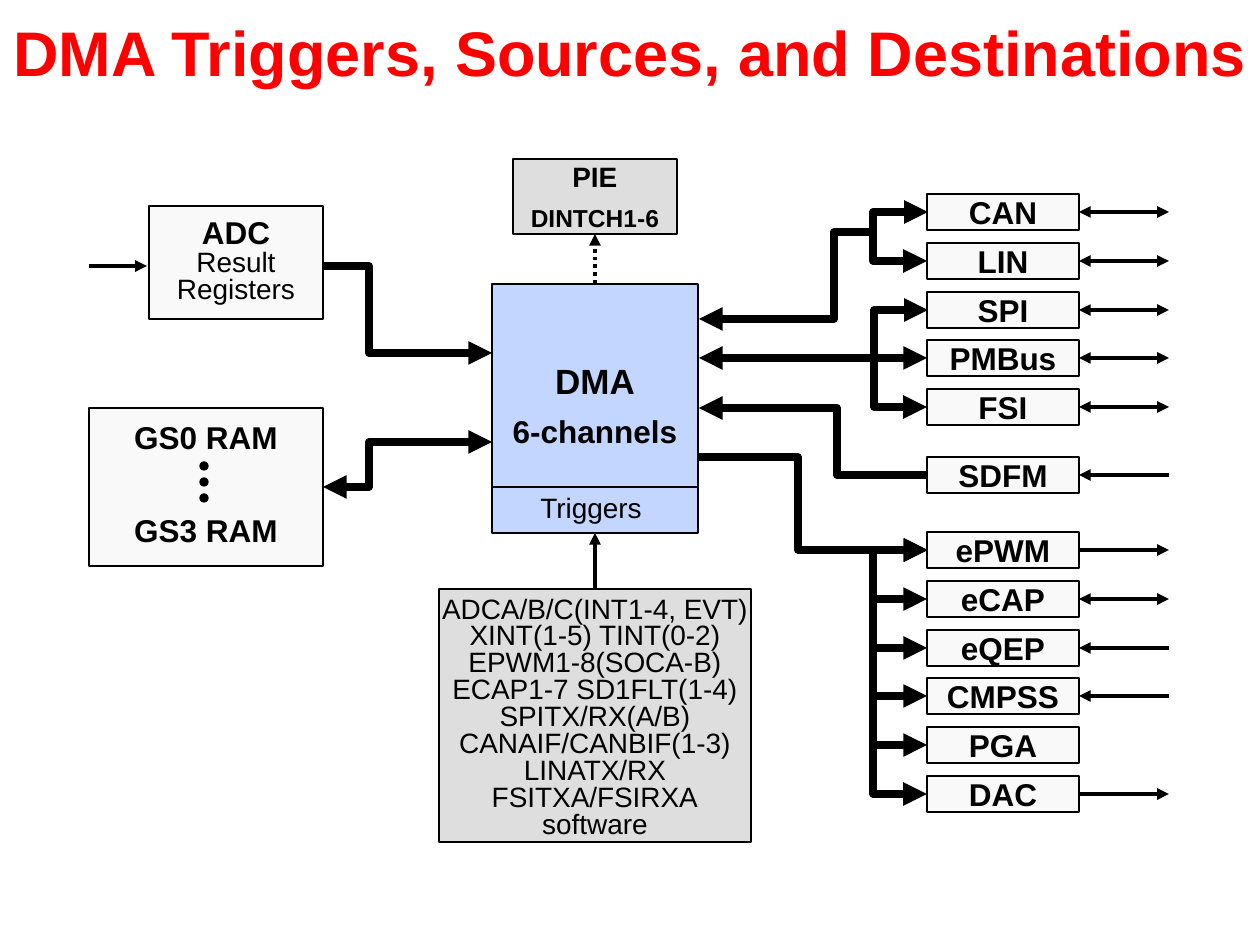
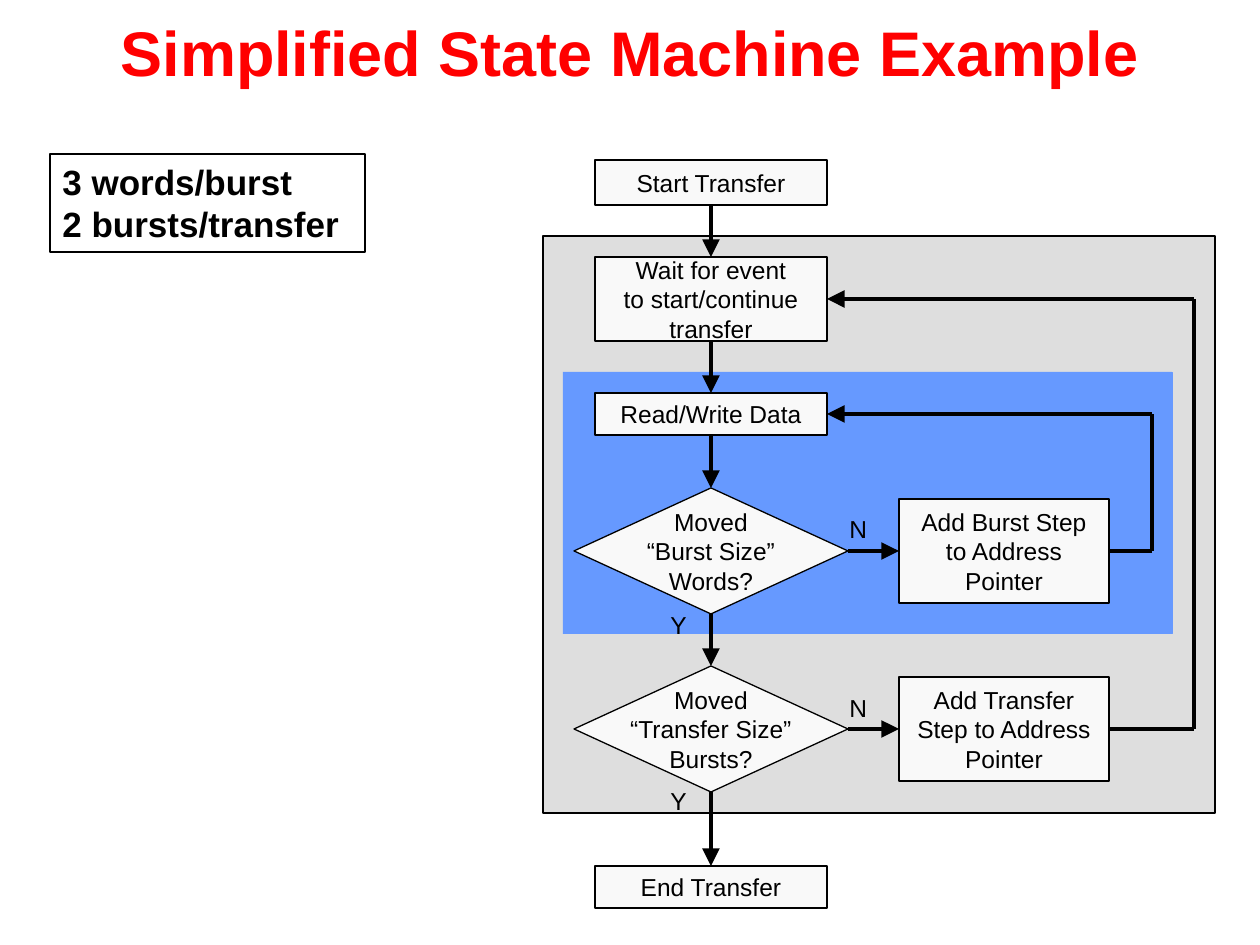
from dataclasses import dataclass

from lxml.etree import SubElement
from pptx import Presentation
from pptx.dml.color import RGBColor
from pptx.enum.dml import MSO_LINE
from pptx.enum.shapes import MSO_CONNECTOR, MSO_SHAPE
from pptx.enum.text import MSO_ANCHOR, MSO_AUTO_SIZE, PP_ALIGN
from pptx.oxml.ns import qn
from pptx.util import Emu, Inches, Pt


@dataclass(frozen=True)
class Theme:
    font: str = "Arial"
    red: RGBColor = RGBColor(0xFF, 0x00, 0x00)
    black: RGBColor = RGBColor(0x00, 0x00, 0x00)
    node: RGBColor = RGBColor(0xF9, 0xF9, 0xF9)
    grey: RGBColor = RGBColor(0xDE, 0xDE, 0xDE)
    pale_blue: RGBColor = RGBColor(0xC2, 0xD6, 0xFF)
    blue: RGBColor = RGBColor(0x66, 0x99, 0xFF)
    title: int = 36
    large: int = 20
    medium: int = 18
    normal: int = 16
    small: int = 14
    bus: float = 4.5
    signal: float = 2.25
    flow: float = 2
    outline: float = 1
    thin: float = 0.75


T = Theme()
TOP, LEFT, BOTTOM, RIGHT = range(4)
HEAD, TAIL = ("headEnd",), ("tailEnd",)
BOTH = HEAD + TAIL
TIGHT = 0.8


def px(n):
    return Emu(round(n * 914400 / 126))


def set_all(obj, values):
    for name, value in values.items():
        setattr(obj, name, value)


def write(tf, lines, size, bold=False, color=T.black, align=PP_ALIGN.CENTER, spacing=None):
    """Fill a frame; a line is a text or (text, dict of size, bold, before)."""
    for i, line in enumerate(lines):
        text, own = line if isinstance(line, tuple) else (line, {})
        p = tf.paragraphs[0] if i == 0 else tf.add_paragraph()
        set_all(p, {"alignment": align, "line_spacing": spacing,
                    "space_before": Pt(own.get("before", 0))})
        r = p.add_run()
        r.text = text
        set_all(r.font, {"name": T.font, "size": Pt(own.get("size", size)),
                         "bold": own.get("bold", bold)})
        r.font.color.rgb = color


def add_slide(prs, title):
    slide = prs.slides.add_slide(prs.slide_layouts[5])
    sp = slide.shapes.title
    set_all(sp, {"left": px(0), "top": px(0), "width": px(1260), "height": px(102)})
    set_all(sp.text_frame, {"margin_left": 0, "margin_right": 0, "word_wrap": True,
                            "auto_size": MSO_AUTO_SIZE.NONE,
                            "vertical_anchor": MSO_ANCHOR.MIDDLE})
    write(sp.text_frame, [title], T.title, bold=True, color=T.red)
    return slide


def add_box(slide, at, fill=T.node, lines=(), size=T.normal, kind=MSO_SHAPE.RECTANGLE,
            line=T.black, width=T.outline, frame=None, **text):
    sp = slide.shapes.add_shape(kind, *map(px, at))
    sp.shadow.inherit = False
    if fill is None:
        sp.fill.background()
    else:
        sp.fill.solid()
        sp.fill.fore_color.rgb = fill
    sp.line.color.rgb = line
    sp.line.width = Pt(width)
    if lines:
        set_all(sp.text_frame, {"word_wrap": False, "vertical_anchor": MSO_ANCHOR.MIDDLE}
                | (frame or {}))
        write(sp.text_frame, lines, size, **text)
    return sp


def add_label(slide, at, text, size, spacing=None):
    tf = slide.shapes.add_textbox(*map(px, at)).text_frame
    tf.word_wrap = False
    write(tf, [text], size, align=PP_ALIGN.LEFT, spacing=spacing)


def style_line(c, width, ends=(), dash=None, head_size="med"):
    c.line.color.rgb = T.black
    c.line.width = Pt(width)
    if dash:
        c.line.dash_style = dash
    ln = c.line._get_or_add_ln()
    for end in ends:
        SubElement(ln, qn(f"a:{end}"), type="triangle", w=head_size, len=head_size)
    SubElement(c._element.spPr, qn("a:effectLst"))


def add_line(slide, start, end, width, ends=(), **style):
    """Draw a straight line; each end is (x, y) or (shape, side)."""
    joined = [not isinstance(e[0], int) for e in (start, end)]
    points = [(0, 0) if j else e for j, e in zip(joined, (start, end))]
    c = slide.shapes.add_connector(MSO_CONNECTOR.STRAIGHT,
                                   *(px(n) for point in points for n in point))
    if joined[0]:
        c.begin_connect(*start)
    if joined[1]:
        c.end_connect(*end)
    style_line(c, width, ends, **style)


def add_elbow(slide, start, end, bend_x, ends):
    """Draw a bus line whose vertical part runs at bend_x."""
    c = slide.shapes.add_connector(MSO_CONNECTOR.ELBOW, *map(px, start + end))
    bend = round((bend_x - start[0]) / (end[0] - start[0]) * 100000)
    guides = c._element.spPr.find(qn("a:prstGeom")).find(qn("a:avLst"))
    SubElement(guides, qn("a:gd"), name="adj1", fmla=f"val {bend}")
    style_line(c, T.bus, ends)


def add_peripherals(slide):
    """Stack the peripheral boxes with their pin arrows; return boxes by name."""
    groups = [
        (194, {"CAN": BOTH, "LIN": BOTH, "SPI": BOTH, "PMBus": BOTH, "FSI": BOTH}),
        (457, {"SDFM": HEAD}),
        (532, {"ePWM": TAIL, "eCAP": BOTH, "eQEP": HEAD, "CMPSS": HEAD,
               "PGA": (), "DAC": TAIL}),
    ]
    boxes = {}
    for top, pins in groups:
        for i, (name, ends) in enumerate(pins.items()):
            y = top + round(i * 48.75)
            boxes[name] = add_box(slide, (927, y, 152, 36), lines=[name], size=T.medium,
                                  bold=True, spacing=TIGHT, frame={"margin_bottom": 0})
            if ends:
                add_line(slide, (boxes[name], RIGHT), (1169, y + 18), T.signal, ends)
    return boxes


def build_dma_slide(prs):
    slide = add_slide(prs, "DMA Triggers, Sources, and Destinations")
    dma = add_box(slide, (492, 284, 206, 249), T.pale_blue,
                  ["DMA", ("6-channels", {"size": T.medium, "before": 10})],
                  T.large, bold=True, spacing=TIGHT)
    add_line(slide, (492, 487), (698, 487), T.outline)
    add_label(slide, (528, 491, 129, 39), "Triggers", T.normal, TIGHT)
    pie = add_box(slide, (513, 159, 164, 75), T.grey,
                  ["PIE", ("DINTCH1-6", {"size": T.small, "before": 9})],
                  bold=True, spacing=TIGHT, frame={"margin_bottom": 0})
    triggers = add_box(slide, (439, 589, 312, 253), T.grey,
                       ["ADCA/B/C(INT1-4, EVT)", "XINT(1-5) TINT(0-2)", "EPWM1-8(SOCA-B)",
                        "ECAP1-7 SD1FLT(1-4)", "SPITX/RX(A/B)", "CANAIF/CANBIF(1-3)",
                        "LINATX/RX", "FSITXA/FSIRXA", "software"],
                       spacing=TIGHT, frame={"margin_bottom": 0})
    add_line(slide, (triggers, TOP), (dma, BOTTOM), T.signal, TAIL)
    add_line(slide, (dma, TOP), (pie, BOTTOM), T.signal, TAIL, dash=MSO_LINE.ROUND_DOT)

    add_box(slide, (149, 206, 174, 113),
            lines=[("ADC", {"size": T.medium, "bold": True}), "Result", "Registers"],
            spacing=TIGHT)
    add_line(slide, (89, 266), (147, 266), T.signal, TAIL)
    add_box(slide, (89, 408, 234, 158), lines=["GS0 RAM", ("GS3 RAM", {"before": 36})],
            size=T.medium, bold=True, spacing=TIGHT)
    for i in range(3):
        add_box(slide, (200, 462 + 16 * i, 8, 8), T.black, kind=MSO_SHAPE.OVAL, width=T.thin)

    boxes = add_peripherals(slide)
    for start, end, bend_x, ends in [
        ((323, 266), (492, 353), 369, TAIL),
        ((323, 487), (492, 442), 369, BOTH),
        ((699, 319), (870, 232), 834, HEAD),
        ((928, 212), (927, 261), 873, BOTH),
        ((928, 310), (927, 407), 874, BOTH),
        ((927, 475), (699, 408), 837, TAIL),
        ((699, 457), (927, 550), 798, TAIL),
        ((928, 550), (927, 794), 873, BOTH),
    ]:
        add_elbow(slide, start, end, bend_x, ends)
    add_line(slide, (699, 358), (boxes["PMBus"], LEFT), T.bus, BOTH)
    for i, name in enumerate(["eCAP", "eQEP", "CMPSS", "PGA"], start=1):
        add_line(slide, (875, 550 + round(i * 48.75)), (boxes[name], LEFT), T.bus, TAIL)


def add_step(slide, at, *lines, kind=MSO_SHAPE.RECTANGLE):
    return add_box(slide, at, lines=lines, size=T.small, kind=kind, width=T.thin)


def add_flow(slide, start, end, ends=TAIL):
    add_line(slide, start, end, T.flow, ends, head_size="lg")


def add_loop(slide, source, target, x, source_y, target_y):
    """Lead from the right of source, along x, back to the right of target."""
    add_flow(slide, (source, RIGHT), (x, source_y), ())
    add_flow(slide, (x, source_y), (x, target_y), ())
    add_flow(slide, (x, target_y), (target, RIGHT))


def build_state_slide(prs):
    slide = add_slide(prs, "Simplified State Machine Example")
    add_box(slide, (543, 236, 672, 577), T.grey, width=T.thin)
    add_box(slide, (563, 372, 609, 262), T.blue, line=T.blue, width=0.5)
    add_box(slide, (50, 154, 315, 98), None, ["3 words/burst", "2 bursts/transfer"], T.large,
            width=T.thin, bold=True, align=PP_ALIGN.LEFT,
            frame={"word_wrap": True, "vertical_anchor": MSO_ANCHOR.TOP})

    start = add_step(slide, (595, 160, 232, 45), "Start Transfer")
    wait = add_step(slide, (595, 257, 232, 84), "Wait for event", "to start/continue", "transfer")
    read = add_step(slide, (595, 393, 232, 42), "Read/Write Data")
    burst = add_step(slide, (574, 488, 274, 126), "Moved", "“Burst Size”", "Words?",
                     kind=MSO_SHAPE.DIAMOND)
    transfer = add_step(slide, (574, 666, 274, 126), "Moved", "“Transfer Size”", "Bursts?",
                        kind=MSO_SHAPE.DIAMOND)
    end = add_step(slide, (595, 866, 232, 42), "End Transfer")
    add_burst = add_step(slide, (899, 499, 210, 104), "Add Burst Step", "to Address", "Pointer")
    add_transfer = add_step(slide, (899, 677, 210, 104),
                            "Add Transfer", "Step to Address", "Pointer")

    steps = [start, wait, read, burst, transfer, end]
    for above, below in zip(steps, steps[1:]):
        add_flow(slide, (above, BOTTOM), (below, TOP))
    for test, action in [(burst, add_burst), (transfer, add_transfer)]:
        add_flow(slide, (test, RIGHT), (action, LEFT))
    add_loop(slide, add_burst, read, 1152, 551, 414)
    add_loop(slide, add_transfer, wait, 1194, 729, 299)
    for text, x, y in [("N", 837, 508), ("Y", 658, 604), ("N", 837, 687), ("Y", 658, 780)]:
        add_label(slide, (x, y, 42, 42), text, T.small)


def main():
    prs = Presentation()
    set_all(prs, {"slide_width": Inches(10), "slide_height": Inches(7.5)})
    build_dma_slide(prs)
    build_state_slide(prs)
    prs.save("out.pptx")


if __name__ == "__main__":
    main()
